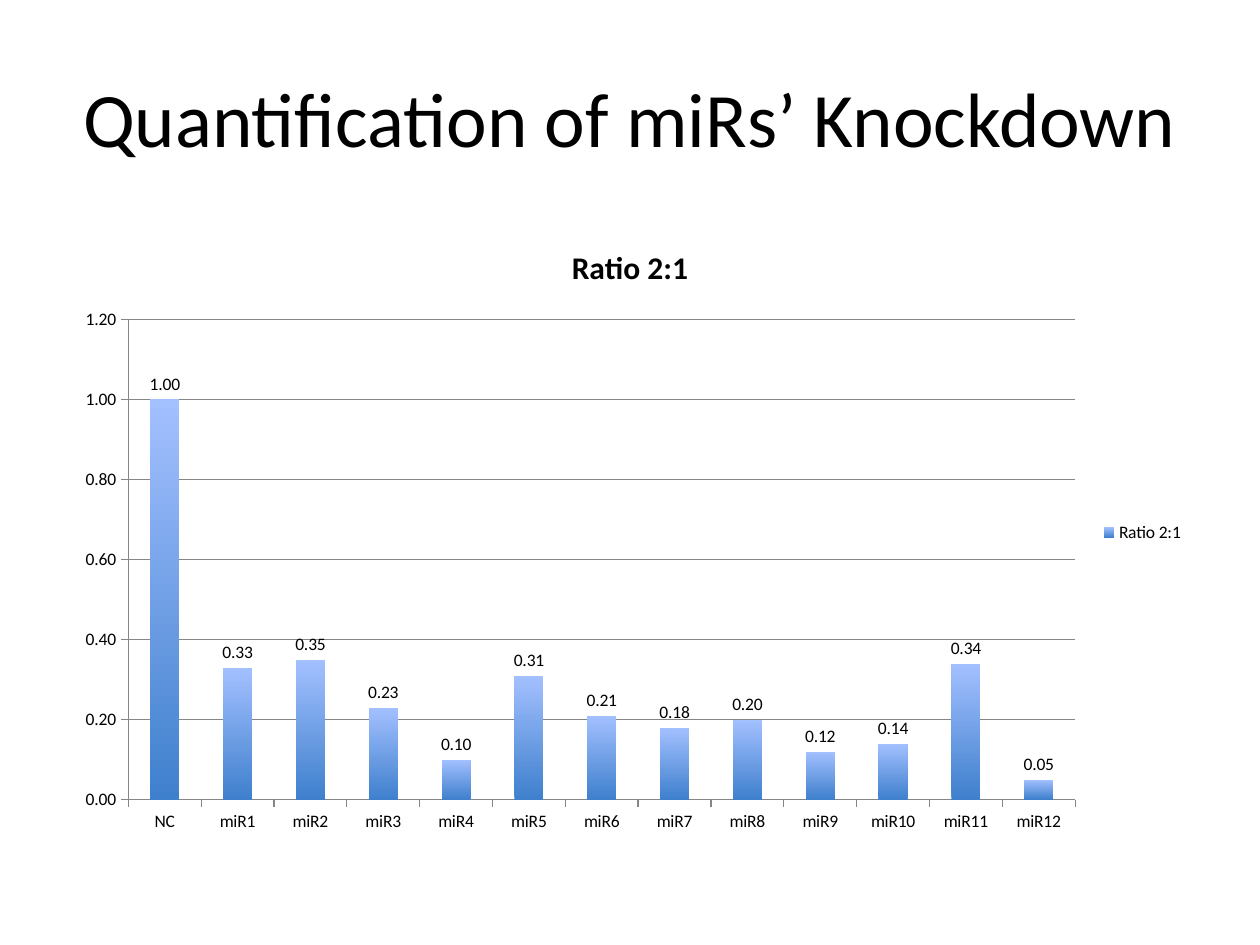
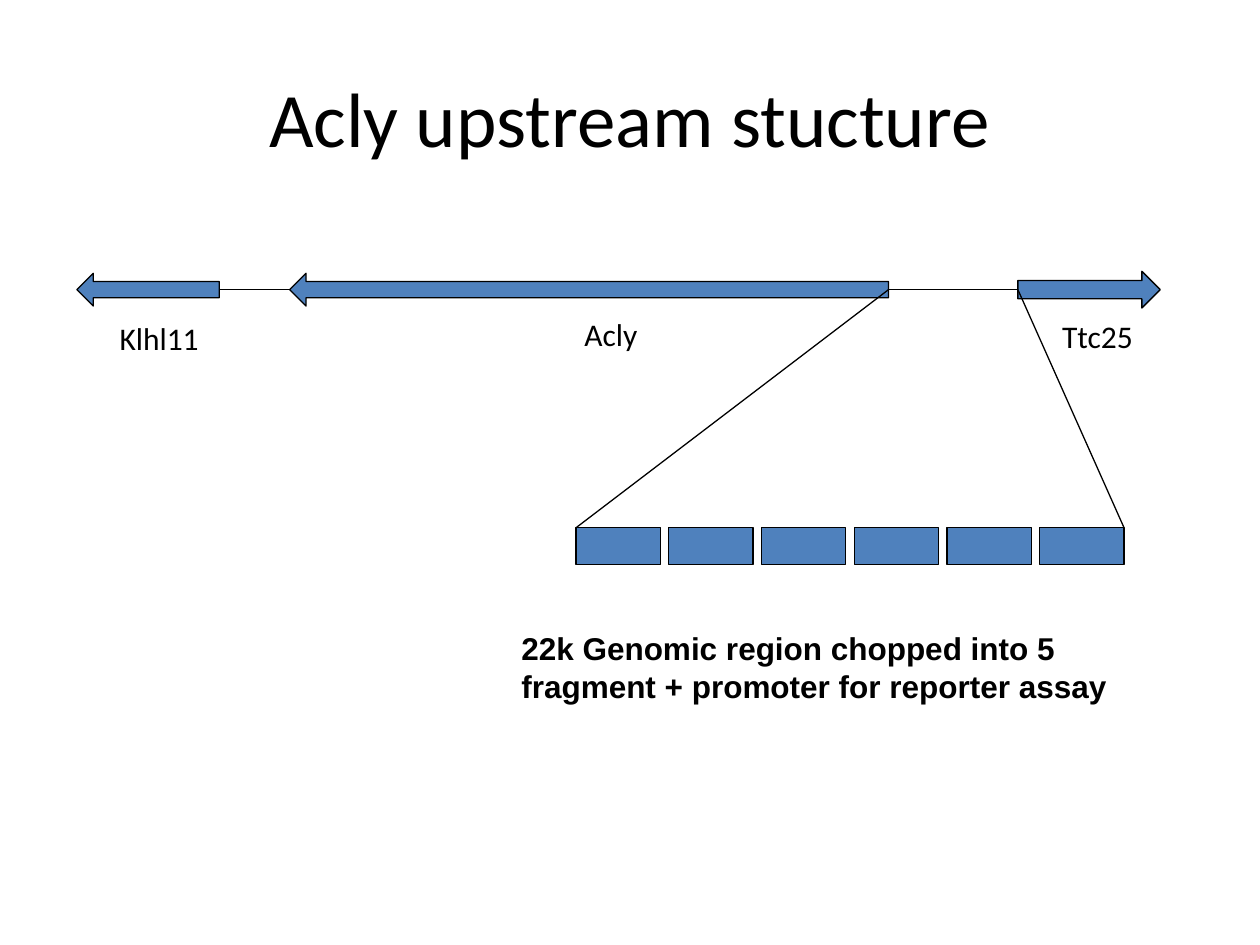
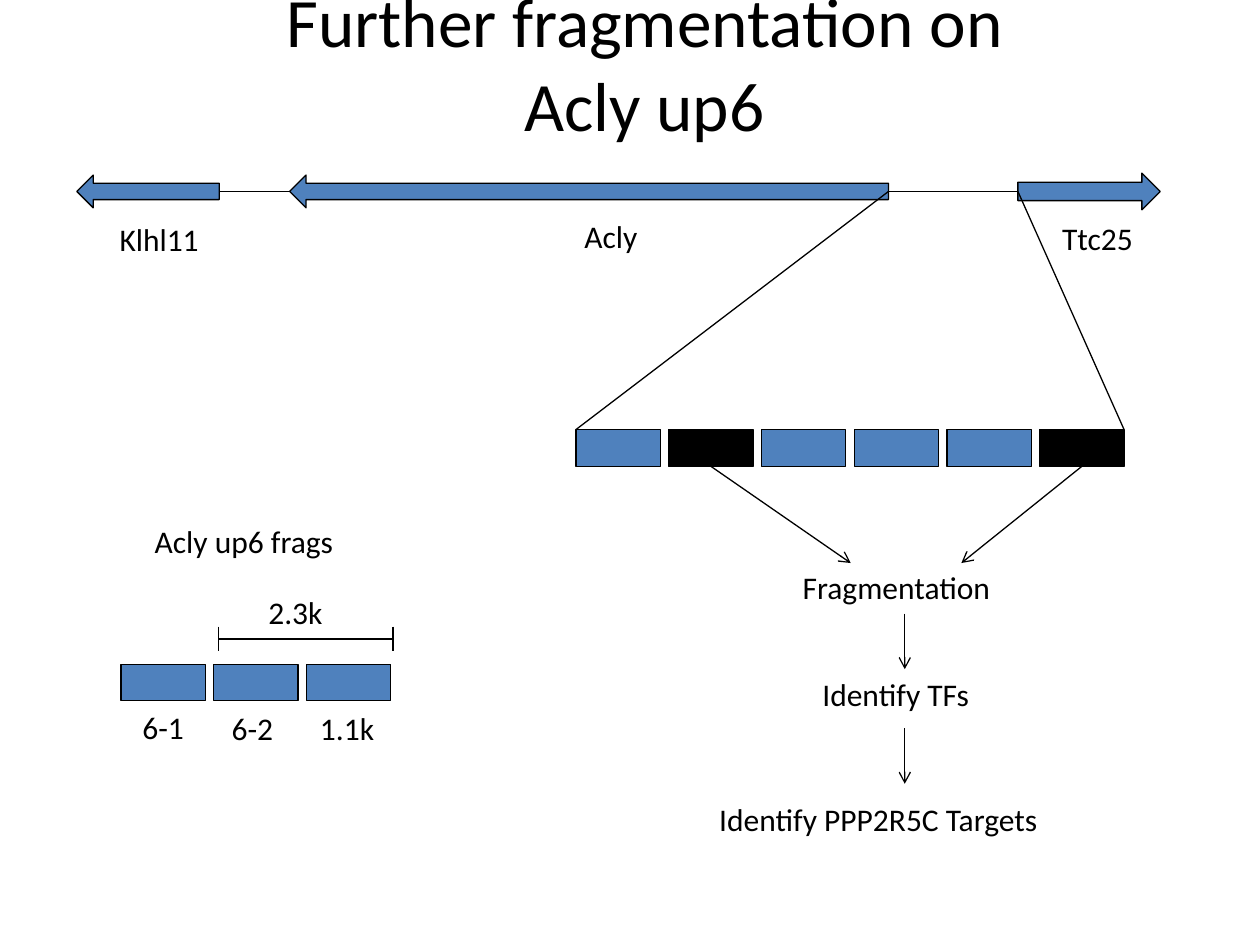
import pptx
import pptx.chart.data
import pptx.dml.color
import pptx.enum.chart
import pptx.enum.shapes
import pptx.enum.text
import pptx.oxml.ns
import pptx.util
from lxml import etree

Cm = pptx.util.Cm
Pt = pptx.util.Pt
RGBColor = pptx.dml.color.RGBColor
Shape = pptx.enum.shapes.MSO_SHAPE
Align = pptx.enum.text.PP_ALIGN
qn = pptx.oxml.ns.qn

BLACK = RGBColor(0x00, 0x00, 0x00)
BLUE = RGBColor(0x4F, 0x81, 0xBD)
BAR_BOTTOM = RGBColor(0x3F, 0x80, 0xCD)
BAR_TOP = RGBColor(0xA3, 0xC0, 0xFF)
GRID_GRAY = RGBColor(0x86, 0x86, 0x86)
FONT = "Calibri"
LINE_WIDTH = Pt(0.75)

# Lengths in centimetres
FRAGMENT_WIDTH, FRAGMENT_HEIGHT, FRAGMENT_PITCH = 1.7, 0.74, 1.87
LABEL_HEIGHT = 1.02
TOP, LEFT, BOTTOM, RIGHT = range(4)

KNOCKDOWN_RATIOS = [1, 0.33, 0.35, 0.23, 0.1, 0.31, 0.21, 0.18, 0.2,
                    0.12, 0.14, 0.34, 0.05]


def add_text(slide, text, left, top, width, height=LABEL_HEIGHT, *, size=18,
             font=FONT, bold=False, wrap=False, align=Align.LEFT,
             anchor=pptx.enum.text.MSO_ANCHOR.TOP):
    box = slide.shapes.add_textbox(Cm(left), Cm(top), Cm(width), Cm(height))
    frame = box.text_frame
    frame.word_wrap = wrap
    frame.vertical_anchor = anchor
    frame.auto_size = pptx.enum.text.MSO_AUTO_SIZE.NONE
    paragraph = frame.paragraphs[0]
    paragraph.text = text
    paragraph.alignment = align
    paragraph.font.name = font
    paragraph.font.size = Pt(size)
    paragraph.font.bold = bold
    paragraph.font.color.rgb = BLACK


def add_title(slide, text, left=1.27, top=0.76, width=22.86, height=3.18, size=44):
    add_text(slide, text, left, top, width, height, size=size, wrap=True,
             align=Align.CENTER, anchor=pptx.enum.text.MSO_ANCHOR.MIDDLE)


def add_block(slide, kind, left, top, width, height, fill=BLUE):
    shape = slide.shapes.add_shape(kind, Cm(left), Cm(top), Cm(width), Cm(height))
    shape.shadow.inherit = False
    shape.fill.solid()
    shape.fill.fore_color.rgb = fill
    shape.line.color.rgb = BLACK
    shape.line.width = LINE_WIDTH
    return shape


def add_line(slide, start, end, arrow=False):
    """Draw a line; each end is an (x, y) point in cm or a (shape, side) pair."""
    joins = [isinstance(tip[0], pptx.shapes.autoshape.Shape) for tip in (start, end)]
    points = [(0, 0) if joined else tip for joined, tip in zip(joins, (start, end))]
    line = slide.shapes.add_connector(
        pptx.enum.shapes.MSO_CONNECTOR.STRAIGHT,
        *[Cm(value) for point in points for value in point])
    if joins[0]:
        line.begin_connect(*start)
    if joins[1]:
        line.end_connect(*end)
    line.line.color.rgb = BLACK
    line.line.width = LINE_WIDTH
    if arrow:
        etree.SubElement(line.line._get_or_add_ln(), qn("a:tailEnd"), type="arrow")
    etree.SubElement(line._element.spPr, qn("a:effectLst"))


def add_fragments(slide, left, top, count, black=()):
    """Add a row of equal fragments; those whose index is in black are black."""
    return [add_block(slide, Shape.RECTANGLE, left + index * FRAGMENT_PITCH, top,
                      FRAGMENT_WIDTH, FRAGMENT_HEIGHT,
                      BLACK if index in black else BLUE)
            for index in range(count)]


def add_gene_map(slide, axis, black=()):
    """Draw the genes along a horizontal axis and the fragments of the gap."""
    def add_gene(kind, left, width, height):
        return add_block(slide, kind, left, axis - height / 2, width, height)

    ttc25 = add_gene(Shape.RIGHT_ARROW, 20.52, 2.87, 0.74)
    acly = add_gene(Shape.LEFT_ARROW, 5.84, 12.07, 0.66)
    klhl11 = add_gene(Shape.LEFT_ARROW, 1.55, 2.87, 0.66)
    add_line(slide, (acly, LEFT), (klhl11, RIGHT))
    add_line(slide, (acly, RIGHT), (ttc25, LEFT))
    for name, left, drop, width in (("Klhl11", 2.16, 0.46, 2.24),
                                    ("Acly", 11.53, 0.39, 1.75),
                                    ("Ttc25", 21.16, 0.43, 2.11)):
        add_text(slide, name, left, axis + drop, width)

    row_left, row_top = 11.61, axis + 4.8
    fragments = add_fragments(slide, row_left, row_top, 6, black)
    row_right = row_left + 5 * FRAGMENT_PITCH + FRAGMENT_WIDTH
    add_line(slide, (acly, RIGHT), (row_left, row_top))
    add_line(slide, (ttc25, LEFT), (row_right, row_top))
    return fragments


def style_axis(axis):
    axis.format.line.color.rgb = GRID_GRAY
    axis.major_tick_mark = pptx.enum.chart.XL_TICK_MARK.OUTSIDE
    axis.minor_tick_mark = pptx.enum.chart.XL_TICK_MARK.NONE


def add_ratio_chart(slide):
    name = "Ratio 2:1"
    data = pptx.chart.data.CategoryChartData(number_format="0.00")
    data.categories = ["NC"] + [f"miR{number}" for number in range(1, 13)]
    data.add_series(name, KNOCKDOWN_RATIOS)
    chart = slide.shapes.add_chart(
        pptx.enum.chart.XL_CHART_TYPE.COLUMN_CLUSTERED,
        Cm(1.27), Cm(4.45), Cm(22.86), Cm(12.57), data).chart
    chart.font.name = FONT
    chart.font.size = Pt(10)
    chart.font.color.rgb = BLACK

    chart.has_title = True
    chart.chart_title.text_frame.text = name
    title_font = chart.chart_title.text_frame.paragraphs[0].runs[0].font
    title_font.name = FONT
    title_font.size = Pt(18)
    title_font.bold = True
    title_font.color.rgb = BLACK
    chart.has_legend = True
    chart.legend.position = pptx.enum.chart.XL_LEGEND_POSITION.RIGHT
    chart.legend.include_in_layout = False

    style_axis(chart.category_axis)
    values = chart.value_axis
    style_axis(values)
    values.minimum_scale, values.maximum_scale, values.major_unit = 0, 1.2, 0.2
    values.has_major_gridlines = True
    values.major_gridlines.format.line.color.rgb = GRID_GRAY
    values.tick_labels.number_format = "0.00"
    values.tick_labels.number_format_is_linked = False

    plot = chart.plots[0]
    plot.gap_width = 150
    plot.vary_by_categories = False
    plot.has_data_labels = True
    labels = plot.data_labels
    labels.show_value = True
    labels.number_format = "0.00"
    labels.number_format_is_linked = False
    labels.position = pptx.enum.chart.XL_LABEL_POSITION.OUTSIDE_END
    fill = plot.series[0].format.fill
    fill.gradient()
    fill.gradient_angle = 90
    for stop, color in zip(fill.gradient_stops, (BAR_BOTTOM, BAR_TOP)):
        stop.color.rgb = color


def add_workflow(slide, sources):
    """Lead from the source fragments down through the steps of the analysis."""
    for source, x in zip(sources, (17.15, 19.38)):
        add_line(slide, (source, BOTTOM), (x, 11.35), arrow=True)
    for step, left, top, width in (("Fragmentation", 15.93, 11.33, 4.65),
                                   ("Identify TFs", 16.33, 13.49, 3.86),
                                   ("Identify PPP2R5C Targets", 14.25, 16, 7.95)):
        add_text(slide, step, left, top, width)
    for top in (12.37, 14.68):
        add_line(slide, (18.24, top), (18.24, top + 1.12), arrow=True)


def add_up6_fragments(slide):
    add_text(slide, "Acly up6 frags", 2.87, 10.39, 4.62)
    add_fragments(slide, 2.44, 13.39, 3)
    for label, left, top, width in (("6-1", 2.62, 14.15, 1.45),
                                    ("6-2", 4.42, 14.17, 1.45),
                                    ("1.1k", 6.2, 14.17, 1.73),
                                    ("2.3k", 5.16, 11.84, 1.73)):
        add_text(slide, label, left, top, width)
    start, end, middle = 4.4, 7.92, 12.88
    add_line(slide, (start, middle), (end, middle))
    for x in (start, end):
        add_line(slide, (x, middle - 0.25), (x, middle + 0.25))


def main():
    presentation = pptx.Presentation()
    presentation.slide_width = Cm(25.4)
    presentation.slide_height = Cm(19.05)
    blank = presentation.slide_layouts[6]

    slide = presentation.slides.add_slide(blank)
    add_title(slide, "Quantification of miRs’ Knockdown")
    add_ratio_chart(slide)

    slide = presentation.slides.add_slide(blank)
    add_title(slide, "Acly upstream stucture")
    add_gene_map(slide, 5.84)
    add_text(slide, "22k Genomic region chopped into 5 fragment + promoter for "
             "reporter assay", 10.26, 12.55, 13.82, 1.8, font="Arial",
             bold=True, wrap=True)

    slide = presentation.slides.add_slide(blank)
    add_title(slide, "Further fragmentation on Acly up6", 5.16, 0.56, 15.67, 1.37,
              size=39.6)
    fragments = add_gene_map(slide, 3.86, black=(1, 5))
    add_workflow(slide, (fragments[1], fragments[5]))
    add_up6_fragments(slide)

    presentation.save("out.pptx")


if __name__ == "__main__":
    main()
